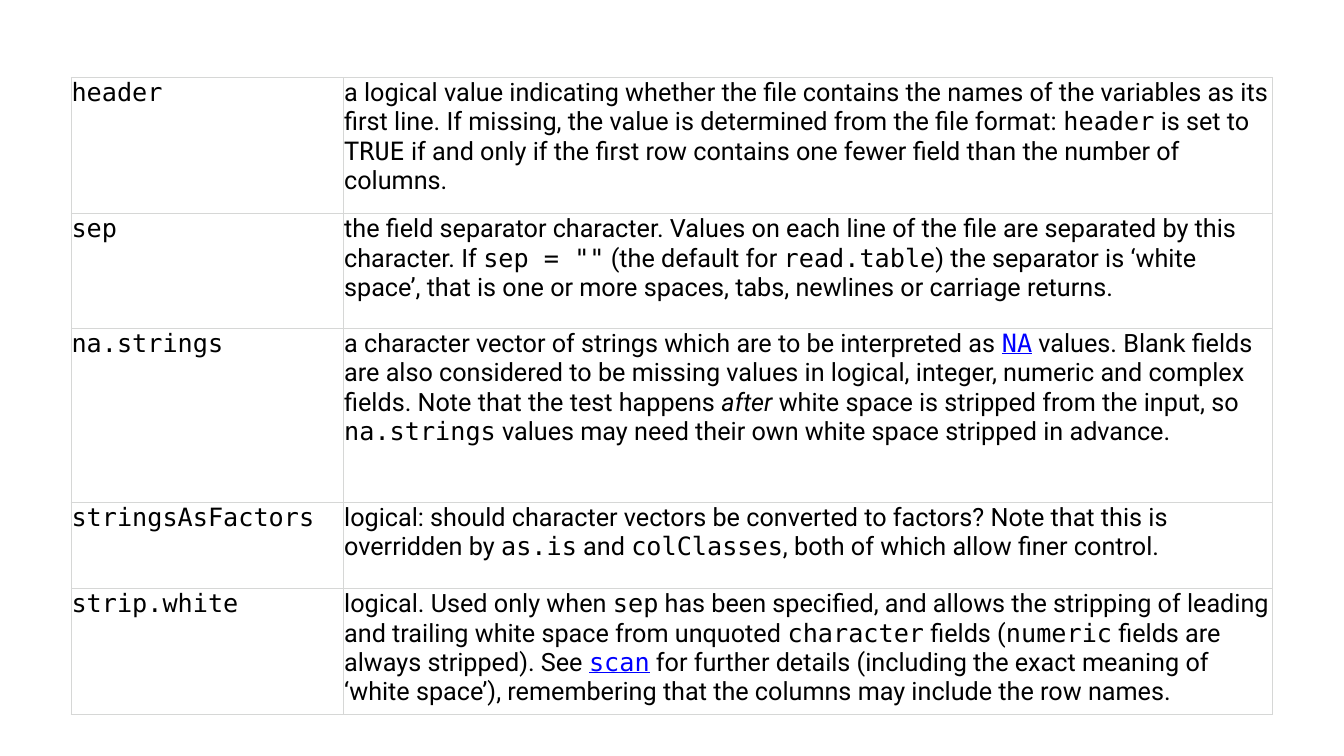
from dataclasses import dataclass

from lxml.etree import SubElement
from pptx import Presentation
from pptx.dml.color import RGBColor
from pptx.enum.text import MSO_ANCHOR
from pptx.oxml.ns import qn
from pptx.table import _Cell as Cell
from pptx.util import Inches, Pt

BLACK = RGBColor(0x00, 0x00, 0x00)
LINK_BLUE = RGBColor(0x00, 0x00, 0xFF)
RULE_GREY = RGBColor(0xD6, 0xD7, 0xD6)

SLIDE_W, SLIDE_H = 26.67, 15
TABLE_LEFT, TABLE_TOP = 1.41, 1.54
COLUMN_WIDTHS = (5.41, 18.43)
INSET, NAME_RIGHT_INSET = 0.01, 0.17


@dataclass(frozen=True)
class Span:
    text: str
    face: str = "Roboto"
    color: RGBColor = BLACK
    underline: bool = False
    italic: bool = False


@dataclass(frozen=True)
class Argument:
    name: str
    height: float
    description: tuple[Span, ...]


def code(text: str) -> Span:
    return Span(text, face="DejaVu Sans Mono")


def code_link(text: str) -> Span:
    return Span(text, face="DejaVu Sans Mono", color=LINK_BLUE, underline=True)


# Arguments of the function, one per table row
ARGUMENTS = (
    Argument("header", 2.7, (
        Span("a logical value indicating whether the file contains the names of the "
             "variables as its first line. If missing, the value is determined from "
             "the file format: "),
        code("header"),
        Span(" is set to "),
        code("TRUE"),
        Span(" if and only if the first row contains one fewer field than the number "
             "of columns."),
    )),
    Argument("sep", 2.28, (
        Span("the field separator character. Values on each line of the file are "
             "separated by this character. If "),
        code('sep = ""'),
        Span(" (the default for "),
        code("read.table"),
        Span(") the separator is ‘white space’, that is one or more spaces, tabs, "
             "newlines or carriage returns."),
    )),
    Argument("na.strings", 3.45, (
        Span("a character vector of strings which are to be interpreted as "),
        code_link("NA"),
        Span(" values. Blank fields are also considered to be missing values in "
             "logical, integer, numeric and complex fields. Note that the test happens "),
        Span("after", italic=True),
        Span(" white space is stripped from the input, so "),
        code("na.strings"),
        Span(" values may need their own white space stripped in advance."),
    )),
    Argument("stringsAsFactors", 1.71, (
        Span("logical: should character vectors be converted to factors? Note that "
             "this is overridden by "),
        code("as.is"),
        Span(" and "),
        code("colClasses"),
        Span(", both of which allow finer control."),
    )),
    Argument("strip.white", 2.5, (
        Span("logical. Used only when "),
        code("sep"),
        Span(" has been specified, and allows the stripping of leading and trailing "
             "white space from unquoted "),
        code("character"),
        Span(" fields ("),
        code("numeric"),
        Span(" fields are always stripped). See "),
        code_link("scan"),
        Span(" for further details (including the exact meaning of ‘white space’), "
             "remembering that the columns may include the row names."),
    )),
)


def add_borders(cell: Cell) -> None:
    """Rule all four sides; the lines must come before the fill in the cell's XML."""
    properties = cell._tc.get_or_add_tcPr()
    for position, side in enumerate(("a:lnL", "a:lnR", "a:lnT", "a:lnB")):
        line = SubElement(properties, qn(side), w=str(Pt(1)))
        fill = SubElement(line, qn("a:solidFill"))
        SubElement(fill, qn("a:srgbClr"), val=str(RULE_GREY))
        properties.insert(position, line)


def fill_cell(cell: Cell, spans: tuple[Span, ...], right_inset: float) -> None:
    cell_format = {
        "margin_left": Inches(INSET),
        "margin_top": Inches(INSET),
        "margin_right": Inches(right_inset),
        "margin_bottom": Inches(INSET),
        "vertical_anchor": MSO_ANCHOR.TOP,
    }
    for attribute, value in cell_format.items():
        setattr(cell, attribute, value)
    cell.fill.background()
    add_borders(cell)

    paragraph = cell.text_frame.paragraphs[0]
    for span in spans:
        run = paragraph.add_run()
        run.text = span.text
        run_format = {"name": span.face, "size": Pt(36), "bold": False,
                      "italic": span.italic, "underline": span.underline}
        for attribute, value in run_format.items():
            setattr(run.font, attribute, value)
        run.font.color.rgb = span.color


def main() -> None:
    deck = Presentation()
    deck.slide_width, deck.slide_height = Inches(SLIDE_W), Inches(SLIDE_H)
    slide = deck.slides.add_slide(deck.slide_layouts[6])

    # Table of arguments and their descriptions
    total_height = sum(argument.height for argument in ARGUMENTS)
    table = slide.shapes.add_table(
        len(ARGUMENTS), len(COLUMN_WIDTHS), Inches(TABLE_LEFT), Inches(TABLE_TOP),
        Inches(sum(COLUMN_WIDTHS)), Inches(total_height)).table
    table.first_row = table.horz_banding = False
    for column, width in zip(table.columns, COLUMN_WIDTHS):
        column.width = Inches(width)

    for row, argument in zip(table.rows, ARGUMENTS):
        row.height = Inches(argument.height)
        name_cell, description_cell = row.cells
        fill_cell(name_cell, (code(argument.name),), NAME_RIGHT_INSET)
        fill_cell(description_cell, argument.description, INSET)

    deck.save("out.pptx")


if __name__ == "__main__":
    main()
